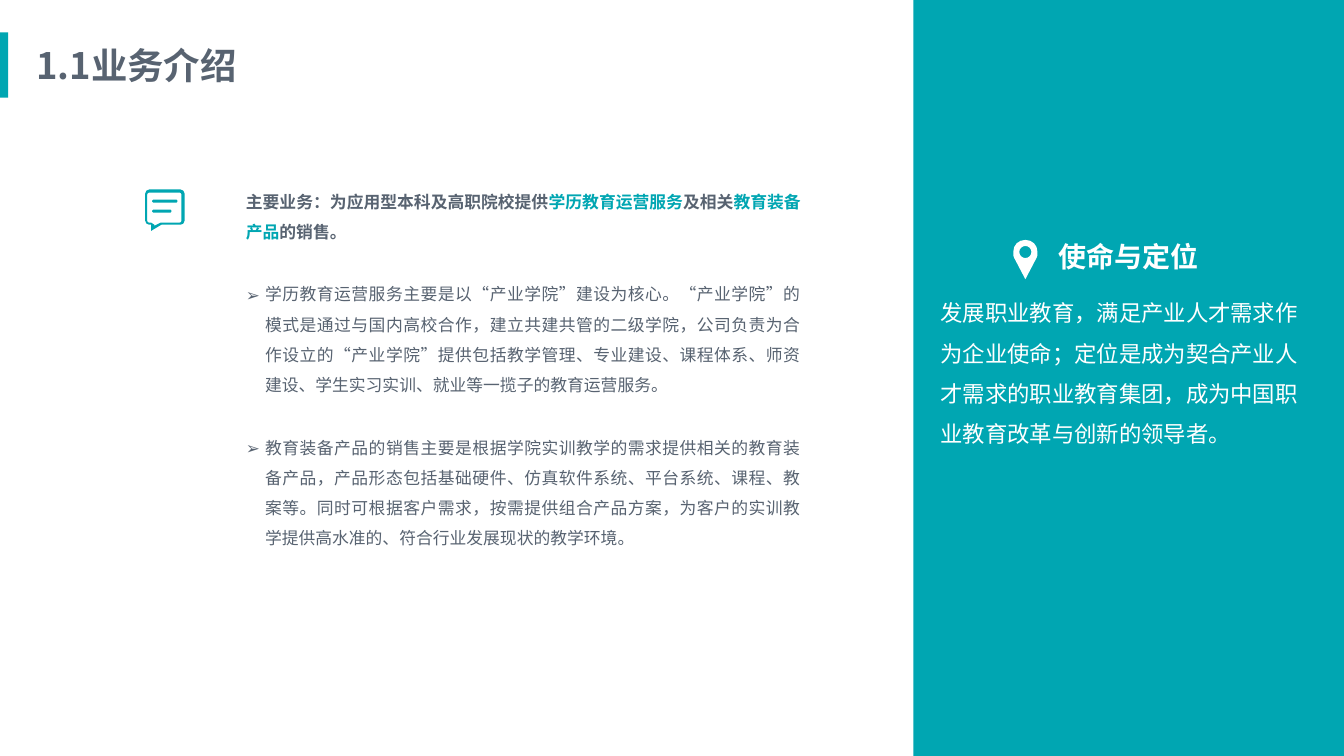
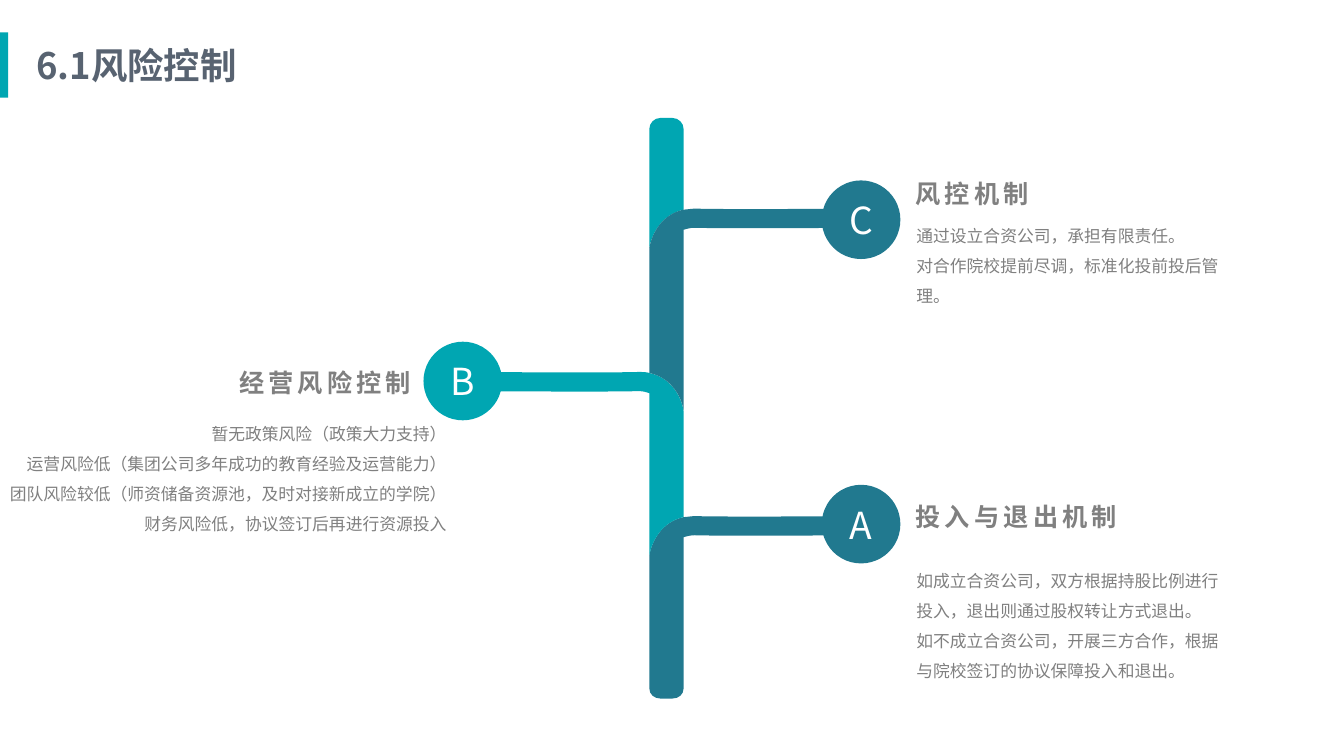
"""Build two slides on business introduction and risk control."""
from lxml import etree
from pptx import Presentation
from pptx.dml.color import RGBColor
from pptx.enum.shapes import MSO_SHAPE
from pptx.enum.text import MSO_ANCHOR, MSO_AUTO_SIZE, PP_ALIGN
from pptx.oxml.ns import qn
from pptx.util import Inches, Pt

FONT = "Noto Sans CJK SC"
COLORS = {
    "teal": "00A6B2",
    "blue": "21798F",
    "slate": "586371",
    "gray": "808080",
    "white": "FFFFFF",
}
TRUNK_LEFT, TRUNK_RIGHT = 6.44, 6.78
TRUNK_TOP, TRUNK_BOTTOM = 1.17, 6.93
BRANCH_C, BRANCH_B, BRANCH_A = 2.07, 3.69, 5.12
NODE_SIZE = 0.78


def rgb(name):
    return RGBColor.from_string(COLORS[name])


def paint(sp, color):
    sp.shadow.inherit = False
    sp.fill.solid()
    sp.fill.fore_color.rgb = rgb(color)
    sp.line.fill.background()
    return sp


def add_block(s, shape, box, color):
    return paint(s.shapes.add_shape(shape, *map(Inches, box)), color)


def style(p, size, color, bold=False, spacing=0):
    p.font.size = Pt(size)
    p.font.bold = bold
    p.font.color.rgb = rgb(color)
    p.font.name = FONT
    props = p._p.pPr.find(qn("a:defRPr"))
    etree.SubElement(props, qn("a:ea")).set("typeface", FONT)
    if spacing:
        props.set("spc", str(spacing * 100))


def add_bullet(p):
    props = p._p.get_or_add_pPr()
    props.set("marL", str(Inches(0.19)))
    props.set("indent", str(-Inches(0.19)))
    etree.SubElement(props, qn("a:buFont")).set("typeface", FONT)
    etree.SubElement(props, qn("a:buChar")).set("char", "➢")


def add_text(s, box, paragraphs, size, color, bold=False, align=PP_ALIGN.LEFT,
             line=None, wrap=True, bullet=False, spacing=0):
    tf = s.shapes.add_textbox(*map(Inches, box)).text_frame
    tf.word_wrap = wrap
    tf.auto_size = MSO_AUTO_SIZE.SHAPE_TO_FIT_TEXT
    for i, runs in enumerate(paragraphs):
        p = tf.add_paragraph() if i else tf.paragraphs[0]
        p.alignment = align
        if line:
            p.line_spacing = line
        if bullet:
            add_bullet(p)
        style(p, size, color, bold, spacing)
        for part in [runs] if isinstance(runs, str) else runs:
            text, run_color = (part, None) if isinstance(part, str) else part
            r = p.add_run()
            r.text = text
            if run_color:
                r.font.color.rgb = rgb(run_color)


def bend_segment(segment, step, left, top):
    """Turn a straight outline segment into a cubic curve."""
    curve = etree.Element(qn("a:cubicBezTo"))
    for x, y in zip(step[::2], step[1::2]):
        pt = etree.SubElement(curve, qn("a:pt"))
        pt.set("x", str(Inches(x) - left))
        pt.set("y", str(Inches(y) - top))
    segment.getparent().replace(segment, curve)


def add_outline(s, contours, color):
    """Draw contours whose steps are points or six-number cubic curves."""
    builder = None
    for contour in contours:
        start, *rest = [tuple(map(Inches, step[-2:])) for step in contour]
        if builder is None:
            builder = s.shapes.build_freeform(*start, scale=1.0)
        else:
            builder.move_to(*start)
        builder.add_line_segments(rest, close=False)
        builder.add_line_segments([], close=True)
    sp = builder.convert_to_shape()
    segments = list(sp._element.iter(qn("a:lnTo")))
    steps = [step for contour in contours for step in contour[1:]]
    for segment, step in zip(segments, steps):
        if len(step) == 6:
            bend_segment(segment, step, sp.left, sp.top)
    return paint(sp, color)


def round_rect(left, top, right, bottom, r, tail=()):
    k = r * 0.45
    return [
        (right - r, top), (left + r, top),
        (left + k, top, left, top + k, left, top + r), (left, bottom - r),
        (left, bottom - k, left + k, bottom, left + r, bottom),
        *tail, (right - r, bottom),
        (right - k, bottom, right, bottom - k, right, bottom - r), (right, top + r),
        (right, top + k, right - k, top, right - r, top),
    ]


def circle(x, y, r):
    k = r * 0.55
    return [
        (x + r, y), (x + r, y - k, x + k, y - r, x, y - r),
        (x - k, y - r, x - r, y - k, x - r, y),
        (x - r, y + k, x - k, y + r, x, y + r),
        (x + k, y + r, x + r, y + k, x + r, y),
    ]


def add_message_icon(s):
    add_outline(s, [
        round_rect(1.44, 1.88, 1.83, 2.23, 0.04, [(1.5, 2.23), (1.5, 2.29), (1.6, 2.23)]),
        round_rect(1.46, 1.91, 1.8, 2.21, 0.02,
                   [(1.5, 2.21), (1.53, 2.23), (1.53, 2.24), (1.59, 2.21)]),
        round_rect(1.51, 1.98, 1.76, 2.01, 0.01),
        round_rect(1.51, 2.08, 1.7, 2.11, 0.01),
    ], "teal")


def add_pin_icon(s):
    x, y, r = 10.17, 2.5, 0.12
    pin = [(x + r, y), (x + r, y - 0.07, x + 0.07, y - r, x, y - r),
           (x - 0.07, y - r, x - r, y - 0.07, x - r, y),
           (x - r, y + 0.03, x - r, y + 0.05, x - 0.11, y + 0.06),
           (x, y + 0.27), (x + 0.11, y + 0.06),
           (x + r, y + 0.05, x + r, y + 0.03, x + r, y)]
    add_outline(s, [pin, circle(x, y, 0.06)], "white")


def add_title(s, text):
    add_block(s, MSO_SHAPE.RECTANGLE, (0, 0.32, 0.08, 0.65), "teal")
    add_text(s, (0.26, 0.38, 2.49, 0.54), [text], 26, "slate", bold=True)


def add_right_branch(s, y, foot):
    add_outline(s, [[
        (8.53, y), (8.52, y, 7.2, y + 0.01, 6.9, y),
        (6.85, y, 6.81, y + 0.01, TRUNK_RIGHT, y + 0.01),
        (6.55, y + 0.06, 6.46, y + 0.27, TRUNK_LEFT, y + 0.39),
        *foot, (TRUNK_RIGHT, y + 0.21),
        (6.81, y + 0.2, 6.85, y + 0.19, 6.89, y + 0.19),
        (7.2, y + 0.2, 8.48, y + 0.19, 8.54, y + 0.19),
        (8.59, y + 0.19, 8.63, y + 0.15, 8.63, y + 0.1),
        (8.63, y + 0.05, 8.59, y + 0.01, 8.53, y),
    ]], "blue")


def add_left_branch(s, y):
    add_outline(s, [[
        (TRUNK_LEFT, y + 0.01), (6.41, y, 6.37, y, 6.33, y),
        (6.02, y + 0.01, 4.7, y, 4.69, y),
        (4.64, y, 4.59, y + 0.04, 4.59, y + 0.1),
        (4.59, y + 0.15, 4.63, y + 0.19, 4.69, y + 0.19),
        (4.74, y + 0.19, 6.02, y + 0.2, 6.33, y + 0.19),
        (6.38, y + 0.19, 6.41, y + 0.2, TRUNK_LEFT, y + 0.21),
        (TRUNK_LEFT, BRANCH_A + 0.39),
        (6.46, BRANCH_A + 0.27, 6.55, BRANCH_A + 0.06, TRUNK_RIGHT, BRANCH_A + 0.01),
        (TRUNK_RIGHT, y + 0.39),
        (6.76, y + 0.26, 6.67, y + 0.06, TRUNK_LEFT, y + 0.01),
    ]], "teal")


def add_trunk(s):
    left, right, top, bottom = TRUNK_LEFT, TRUNK_RIGHT, TRUNK_TOP, TRUNK_BOTTOM
    y = BRANCH_C
    add_outline(s, [[
        (right, y + 0.01), (right, top + 0.11),
        (right, top + 0.05, 6.73, top, 6.67, top), (6.55, top),
        (6.49, top, left, top + 0.05, left, top + 0.11), (left, y + 0.39),
        (6.46, y + 0.27, 6.55, y + 0.06, right, y + 0.01),
    ]], "teal")
    add_right_branch(s, BRANCH_A, [
        (left, bottom - 0.1), (left, bottom - 0.04, 6.49, bottom, 6.55, bottom),
        (6.67, bottom), (6.73, bottom, right, bottom - 0.04, right, bottom - 0.1)])
    add_left_branch(s, BRANCH_B)
    add_right_branch(s, BRANCH_C, [
        (left, BRANCH_B + 0.01),
        (6.67, BRANCH_B + 0.06, 6.76, BRANCH_B + 0.26, right, BRANCH_B + 0.38)])


def add_node(s, letter, left, top, color):
    sp = add_block(s, MSO_SHAPE.OVAL, (left, top, NODE_SIZE, NODE_SIZE), color)
    tf = sp.text_frame
    tf.margin_left = tf.margin_right = tf.margin_top = tf.margin_bottom = 0
    tf.vertical_anchor = MSO_ANCHOR.MIDDLE
    tf.word_wrap = False
    p = tf.paragraphs[0]
    p.alignment = PP_ALIGN.CENTER
    style(p, 26.6, "white")
    p.add_run().text = letter


def add_topic(s, heading, heading_box, lines, body_box, align=PP_ALIGN.LEFT):
    add_text(s, heading_box, [heading], 18, "gray", bold=True, wrap=False, spacing=3,
             align=PP_ALIGN.CENTER)
    add_text(s, body_box, lines, 12, "gray", line=1.5, align=align)


def build_business(s):
    add_block(s, MSO_SHAPE.RECTANGLE, (9.06, 0, 4.27, 7.5), "teal")
    add_message_icon(s)
    add_title(s, "1.1业务介绍")
    add_text(s, (2.34, 1.75, 5.7, 0.67), [[
        "主要业务：为应用型本科及高职院校提供", ("学历教育运营服务", "teal"),
        "及相关", ("教育装备产品", "teal"), "的销售。",
    ]], 12, "slate", bold=True, align=PP_ALIGN.JUSTIFY, line=1.5)
    services = [
        "学历教育运营服务主要是以“产业学院”建设为核心。“产业学院”的模式是通过与国内高校合作，建立共建共管的二级学院，公司负责为合作设立的“产业学院”提供包括教学管理、专业建设、课程体系、师资建设、学生实习实训、就业等一揽子的教育运营服务。",
        "教育装备产品的销售主要是根据学院实训教学的需求提供相关的教育装备产品，产品形态包括基础硬件、仿真软件系统、平台系统、课程、教案等。同时可根据客户需求，按需提供组合产品方案，为客户的实训教学提供高水准的、符合行业发展现状的教学环境。",
    ]
    for i, text in enumerate(services):
        add_text(s, (2.34, 2.67 + 1.52 * i, 5.7, 1.28), [text], 12, "slate",
                 align=PP_ALIGN.JUSTIFY, line=1.5, bullet=True)
    add_text(s, (9.06, 2.33, 4.27, 0.5), ["使命与定位"], 20, "white", bold=True,
             align=PP_ALIGN.CENTER)
    add_text(s, (9.23, 2.79, 3.94, 1.7), [
        "发展职业教育，满足产业人才需求作为企业使命；定位是成为契合产业人才需求的职业教育集团，成为中国职业教育改革与创新的领导者。",
    ], 16, "white", line=1.5)
    add_pin_icon(s)


def build_risk(s):
    add_title(s, "6.1风险控制")
    add_trunk(s)
    add_topic(s, "风控机制", (8.95, 1.72, 1.38, 0.4), [
        "通过设立合资公司，承担有限责任。",
        "对合作院校提前尽调，标准化投前投后管理。",
    ], (8.99, 2.09, 3.22, 0.97))
    add_topic(s, "经营风险控制", (2.24, 3.59, 1.97, 0.4), [
        "暂无政策风险（政策大力支持）",
        "运营风险低（集团公司多年成功的教育经验及运营能力）",
        "团队风险较低（师资储备资源池，及时对接新成立的学院）",
        "财务风险低，协议签订后再进行资源投入",
    ], (-0.17, 4.05, 4.7, 1.28), PP_ALIGN.RIGHT)
    add_topic(s, "投入与退出机制", (8.95, 4.92, 2.26, 0.4), [
        "如成立合资公司，双方根据持股比例进行投入，退出则通过股权转让方式退出。",
        "如不成立合资公司，开展三方合作，根据与院校签订的协议保障投入和退出。",
    ], (8.99, 5.51, 3.22, 1.28))
    add_node(s, "A", 8.15, 4.81, "blue")
    add_node(s, "C", 8.15, 1.79, "blue")
    add_node(s, "B", 4.2, 3.39, "teal")


def main():
    prs = Presentation()
    prs.slide_width, prs.slide_height = Inches(13.33), Inches(7.5)
    for build in (build_business, build_risk):
        build(prs.slides.add_slide(prs.slide_layouts[6]))
    prs.save("out.pptx")


if __name__ == "__main__":
    main()
